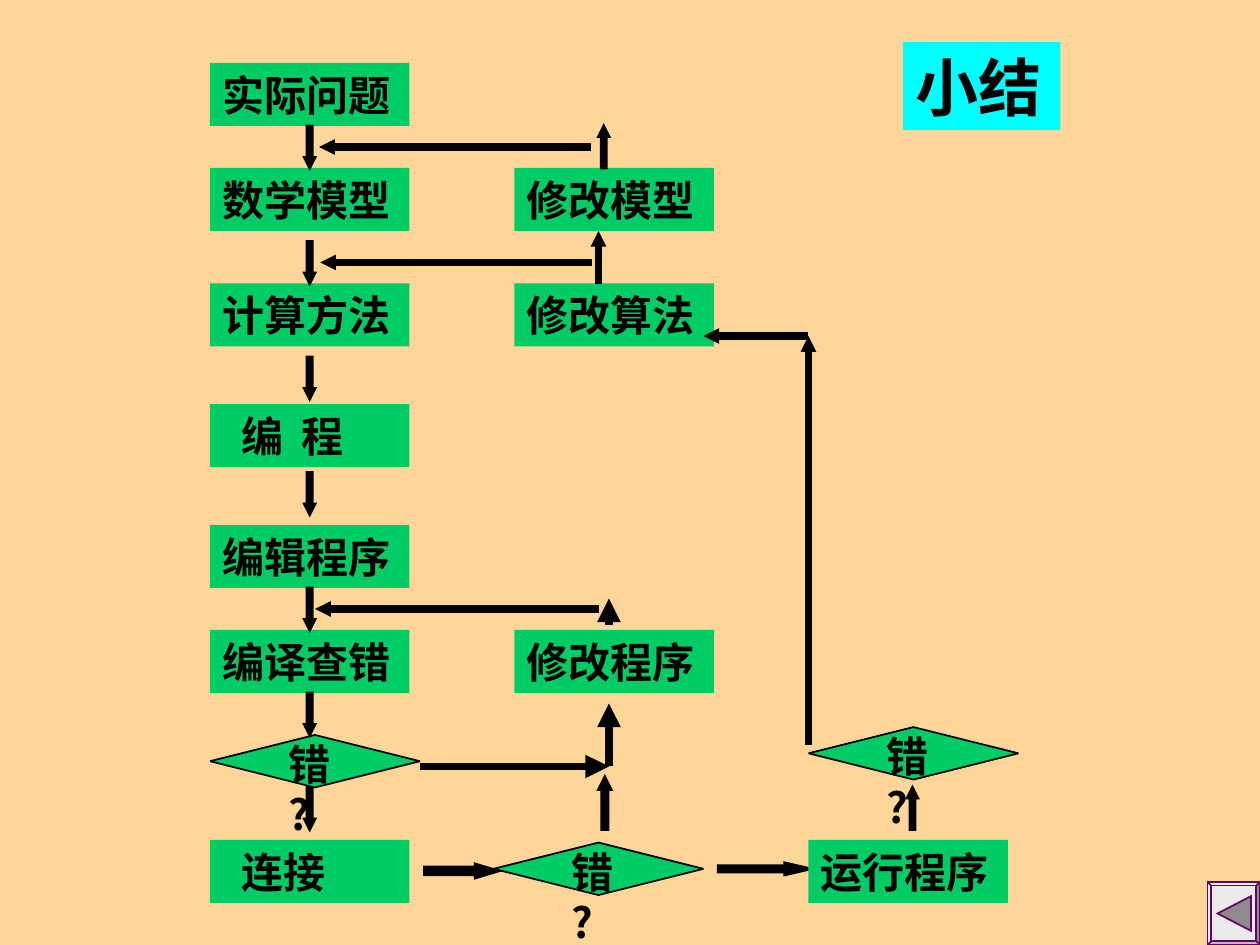
from lxml.etree import SubElement
from pptx import Presentation
from pptx.dml.color import RGBColor
from pptx.enum.shapes import MSO_CONNECTOR as Connector, MSO_SHAPE as Shape
from pptx.enum.text import MSO_ANCHOR as Anchor, PP_ALIGN as Align
from pptx.oxml.ns import qn
from pptx.util import Inches, Pt

THEME = {
    "background": RGBColor(0xFF, 0xD6, 0x99),
    "step": RGBColor(0x00, 0xCC, 0x66),
    "title": RGBColor(0x00, 0xFF, 0xFF),
    "ink": RGBColor(0, 0, 0),
    "button": RGBColor(0xEA, 0xEA, 0xEA),
    "button_icon": RGBColor(0x8C, 0x8C, 0x8C),
    "button_line": RGBColor(0x66, 0x00, 0x66),
    "font": "Noto Sans CJK JP",
    "title_font": "Times New Roman",
    "step_size": Pt(24),
    "title_size": Pt(36),
}

presentation = Presentation()
presentation.slide_width, presentation.slide_height = Inches(10), Inches(7.5)
slide = presentation.slides.add_slide(presentation.slide_layouts[5])
slide.background.fill.solid()
slide.background.fill.fore_color.rgb = THEME["background"]
UNIT = presentation.slide_width / 120  # the grid has 120 columns and 90 rows


def grid(*cells):
    return [round(cell * UNIT) for cell in cells]


def add_block(kind, cells, fill, line=None, width=1):
    shape = slide.shapes.add_shape(kind, *grid(*cells))
    shape.shadow.inherit = False
    shape.fill.solid()
    shape.fill.fore_color.rgb = fill
    if line is None:
        shape.line.fill.background()
    else:
        shape.line.color.rgb = line
        shape.line.width = Pt(width)
        SubElement(shape.line._get_or_add_ln(), qn("a:miter"), lim="800000")
    return shape


# Steps: text, column, row, extra left inset in columns
steps = [
    ("实际问题", 20, 6, 0),
    ("数学模型", 20, 16, 0),
    ("计算方法", 20, 27, 0),
    ("编\t程", 20, 38.5, 1.8),
    ("编辑程序", 20, 50, 0),
    ("编译查错", 20, 60, 0),
    ("连接", 20, 80, 1.8),
    ("修改模型", 49, 16, 0),
    ("修改算法", 49, 27, 0),
    ("修改程序", 49, 60, 0),
    ("运行程序", 77, 80, 0),
]
labels = []
for text, column, row, inset in steps:
    shape = add_block(Shape.RECTANGLE, (column, row, 19, 6), THEME["step"])
    labels.append((shape, text, inset))

# Error checks: a decision with its question on top
for column, row in [(20, 70), (47, 80.25), (77, 69.25)]:
    add_block(Shape.FLOWCHART_DECISION, (column, row, 20, 5), THEME["step"], THEME["ink"])
    box = slide.shapes.add_textbox(*grid(column + 6.25, row - 0.25, 9, 6))
    labels.append((box, "错\v?", 0))

title = slide.shapes.title
title.left, title.top, title.width, title.height = grid(86, 4, 15, 8.4)
title.fill.solid()
title.fill.fore_color.rgb = THEME["title"]
labels.append((title, "小结", 0))

for shape, text, inset in labels:
    is_title = shape is title
    frame = shape.text_frame
    frame.text = text
    frame_format = {
        "word_wrap": True,
        "vertical_anchor": Anchor.BOTTOM if is_title else Anchor.TOP,
        "margin_left": Inches(0.1) + round(inset * UNIT),
        "margin_right": Inches(0.1),
        "margin_top": Inches(0.05),
        "margin_bottom": Inches(0.05),
    }
    for name, value in frame_format.items():
        setattr(frame, name, value)
    paragraph = frame.paragraphs[0]
    paragraph.alignment = Align.LEFT
    if "\t" in text:
        tabs = SubElement(paragraph._p.get_or_add_pPr(), qn("a:tabLst"))
        SubElement(tabs, qn("a:tab"), pos=str(Inches(0.48)), algn="l")
    font_format = {
        "name": THEME["title_font" if is_title else "font"],
        "size": THEME["title_size" if is_title else "step_size"],
        "bold": True,
    }
    for run in paragraph.runs:
        for name, value in font_format.items():
            setattr(run.font, name, value)
        run.font.color.rgb = THEME["ink"]
        SubElement(run.font._element, qn("a:ea"), typeface=THEME["font"])

# Block arrows: column, row, width, length, rotation, head length, line width
block_arrows = [(29, row, 1, 4, 0, 1, 1.5) for row in (12, 23, 34, 45, 56, 66, 75)]
block_arrows += [
    (57, 12, 1, 4, 180, 1, 1.5),
    (57, 74, 1.2, 5, 180, 1, 1.5),
    (86.4, 75, 1, 4, 180, 1, 1.5),
    (43.3, 79.7, 1, 6.5, 270, 1.66, 3),
    (72.2, 78.5, 1, 8.5, 270, 2.16, 2.25),
]
for *cells, rotation, head, width in block_arrows:
    arrow = add_block(Shape.DOWN_ARROW, cells, THEME["ink"], THEME["ink"], width)
    arrow.rotation = rotation
    arrow.adjustments[1] = head

# Line arrows: start, end, head size
line_arrows = [
    (58, 59.5, 58, 57, "med"),
    (40, 73, 58, 73, "med"),
    (58, 73, 58, 67, "med"),
    (57, 27, 57, 22, "sm"),
    (57, 58, 30, 58, "sm"),
    (56.4, 25, 30.5, 25, "sm"),
    (56.3, 14, 30.4, 14, "sm"),
    (77, 32, 67, 32, "sm"),
    (77, 71, 77, 32, "sm"),
]
for *ends, head in line_arrows:
    connector = slide.shapes.add_connector(Connector.STRAIGHT, *grid(*ends))
    connector.line.color.rgb = THEME["ink"]
    connector.line.width = Pt(4.5)
    SubElement(connector.line._get_or_add_ln(), qn("a:tailEnd"), type="triangle", w=head, len=head)
    SubElement(connector._element.spPr, qn("a:effectLst"))

# Back button in the bottom right corner
button = add_block(Shape.BEVEL, (115, 84, 5, 6), THEME["button"], THEME["button_line"])
button.adjustments[0] = 0.07
icon = add_block(Shape.ISOSCELES_TRIANGLE, (115.9, 85.4, 3.3, 3.2),
                 THEME["button_icon"], THEME["button_line"])
icon.rotation = 270

presentation.save("out.pptx")
